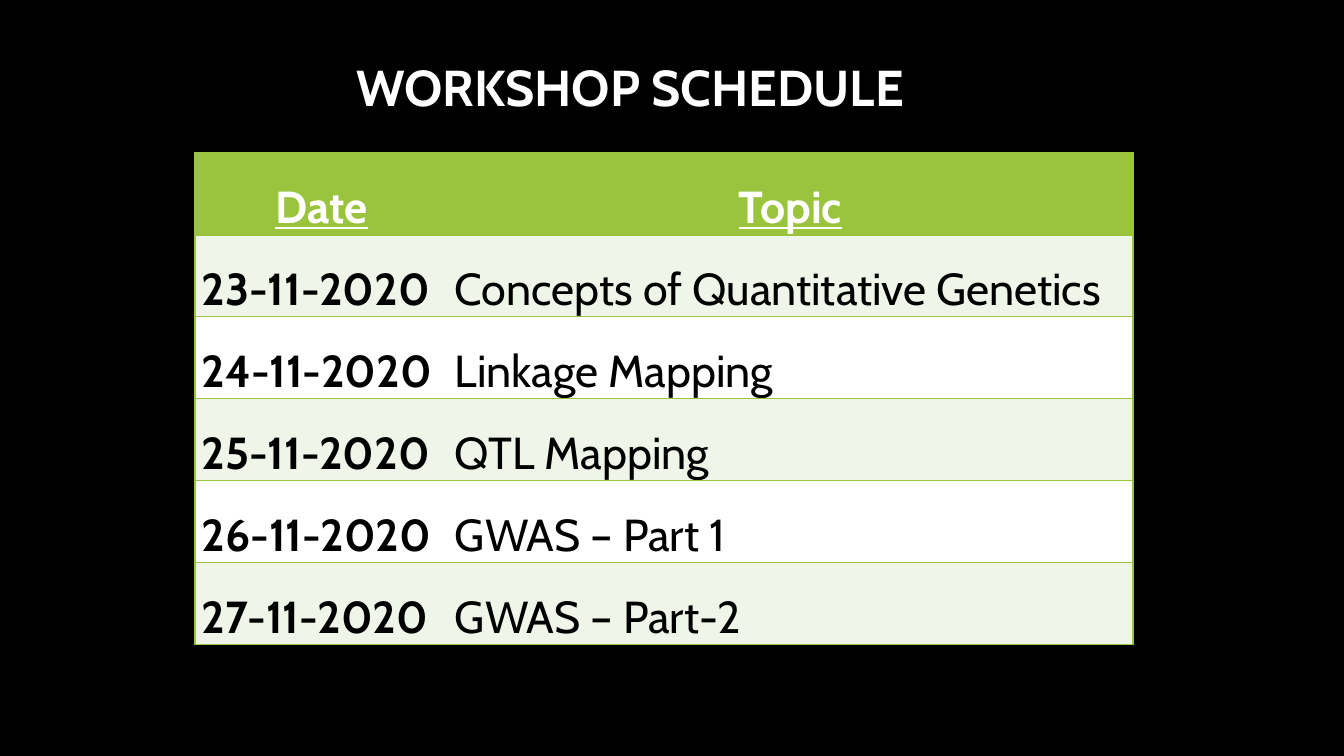
"""Build the workshop schedule slide: a title above a two-column table."""
from dataclasses import dataclass

from lxml import etree
from pptx import Presentation, util as u
from pptx.dml.color import RGBColor
from pptx.enum import text
from pptx.oxml.ns import qn

SCALE = 12192000 / 1344
COLORS = {
    "black": "000000",
    "white": "FFFFFF",
    "green": "9AC43E",
    "pale": "EFF5E8",
}
LEFT, CENTER, JUSTIFY = (
    text.PP_ALIGN.LEFT,
    text.PP_ALIGN.CENTER,
    text.PP_ALIGN.JUSTIFY,
)
COLUMN_WIDTHS = (253, 685)
HEADER_HEIGHT, ROW_HEIGHT = 80, 79
CELL_MARGIN = 7
COLUMN_BORDERS = ("LTB", "RTB")


@dataclass(frozen=True)
class Session:
    """One workshop day."""

    date: str
    topic: str
    align: text.PP_ALIGN = JUSTIFY


SESSIONS = [
    Session("23-11-2020", "Concepts of Quantitative Genetics"),
    Session("24-11-2020", "Linkage Mapping"),
    Session("25-11-2020", "QTL Mapping"),
    Session("26-11-2020", "GWAS – Part 1"),
    Session("27-11-2020", "GWAS – Part-2", LEFT),
]


def px(n: int) -> u.Emu:
    """Convert pixels to EMU."""
    return u.Emu(round(n * SCALE))


def rgb(name: str) -> RGBColor:
    """Look up a named colour."""
    return RGBColor.from_string(COLORS[name])


def set_attrs(obj: object, values: dict) -> None:
    """Set several attributes of one object."""
    for name, value in values.items():
        setattr(obj, name, value)


def write(tf, words: str, align: text.PP_ALIGN, size: int, color: str,
          bold: bool = True, underline: bool = False, spacing: float = 1.0) -> None:
    """Write one formatted paragraph into a text frame."""
    p = tf.paragraphs[0]
    set_attrs(p, {"alignment": align, "line_spacing": spacing,
                  "space_before": u.Pt(0)})
    r = p.add_run()
    r.text = words
    set_attrs(r.font, {"name": "Cabin", "size": u.Pt(size),
                       "bold": bold, "underline": underline})
    r.font.color.rgb = rgb(color)


def set_borders(cell, sides: str) -> None:
    """Draw green lines on the given sides and clear the others."""
    tc_pr = cell._tc.get_or_add_tcPr()
    for i, side in enumerate("LRTB"):
        ln = etree.Element(qn(f"a:ln{side}"), w=str(u.Pt(1)))
        if side in sides:
            fill = etree.SubElement(ln, qn("a:solidFill"))
            etree.SubElement(fill, qn("a:srgbClr"), val=COLORS["green"])
        else:
            etree.SubElement(ln, qn("a:noFill"))
        tc_pr.insert(i, ln)


def fill_cell(cell, column: int, fill: str, words: str, align: text.PP_ALIGN,
              color: str, bold: bool, underline: bool) -> None:
    """Format one table cell and write its text."""
    set_attrs(cell, {"margin_left": px(CELL_MARGIN), "margin_right": px(CELL_MARGIN),
                     "margin_top": 0, "margin_bottom": 0})
    cell.fill.solid()
    cell.fill.fore_color.rgb = rgb(fill)
    set_borders(cell, COLUMN_BORDERS[column])
    write(cell.text_frame, words, align, 32, color, bold, underline, 1.5)


def add_title(s) -> None:
    """Place and format the title placeholder."""
    sp = s.shapes.title
    set_attrs(sp, {"left": px(333), "top": px(51),
                   "width": px(594), "height": px(72)})
    tf = sp.text_frame
    set_attrs(tf, {"word_wrap": True, "auto_size": text.MSO_AUTO_SIZE.NONE,
                   "vertical_anchor": text.MSO_ANCHOR.TOP})
    write(tf, "WORKSHOP SCHEDULE", CENTER, 36, "white")


def add_schedule(s) -> None:
    """Add the table of dates and topics."""
    height = HEADER_HEIGHT + ROW_HEIGHT * len(SESSIONS)
    table = s.shapes.add_table(len(SESSIONS) + 1, 2, px(195), px(153),
                               px(sum(COLUMN_WIDTHS)), px(height)).table
    table.horz_banding = False
    for column, width in zip(table.columns, COLUMN_WIDTHS):
        column.width = px(width)
    for i, row in enumerate(table.rows):
        row.height = px(ROW_HEIGHT if i else HEADER_HEIGHT)
    for column, words in enumerate(("Date", "Topic")):
        fill_cell(table.cell(0, column), column, "green", words, CENTER,
                  "white", True, True)
    for i, session in enumerate(SESSIONS, 1):
        fill = "pale" if i % 2 else "white"
        fill_cell(table.cell(i, 0), 0, fill, session.date, LEFT,
                  "black", True, False)
        fill_cell(table.cell(i, 1), 1, fill, session.topic, session.align,
                  "black", False, False)


def main() -> None:
    """Build and save the slide."""
    prs = Presentation()
    set_attrs(prs, {"slide_width": px(1344), "slide_height": px(756)})
    s = prs.slides.add_slide(prs.slide_layouts[5])
    s.background.fill.solid()
    s.background.fill.fore_color.rgb = rgb("black")
    add_title(s)
    add_schedule(s)
    prs.save("out.pptx")


if __name__ == "__main__":
    main()
